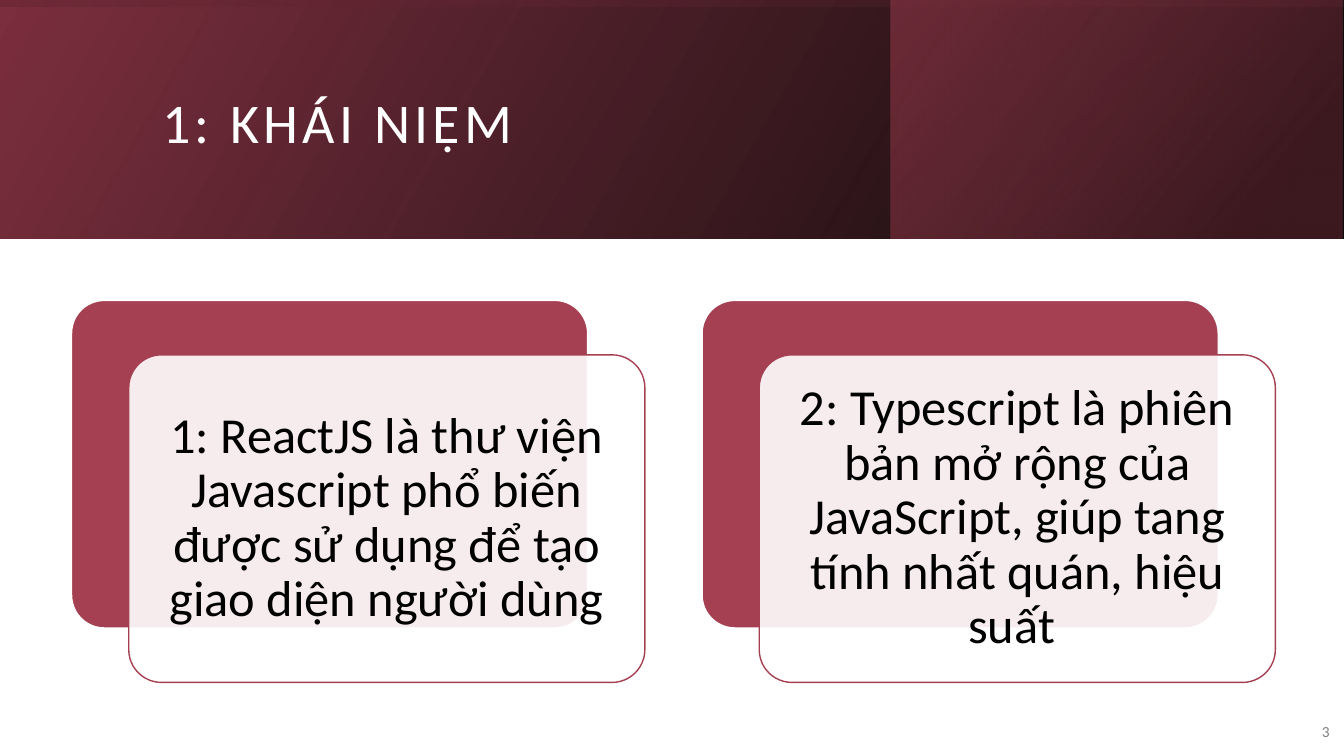
from dataclasses import dataclass

from lxml import etree
from pptx import Presentation
from pptx.dml.color import RGBColor
from pptx.enum.shapes import MSO_SHAPE
from pptx.enum.text import MSO_ANCHOR, PP_ALIGN
from pptx.oxml.ns import qn
from pptx.util import Inches, Pt

RECT, ROUND = MSO_SHAPE.RECTANGLE, MSO_SHAPE.ROUNDED_RECTANGLE
LEFT, CENTER, RIGHT = PP_ALIGN.LEFT, PP_ALIGN.CENTER, PP_ALIGN.RIGHT
MIDDLE = MSO_ANCHOR.MIDDLE

COLORS = {
    "white": "FFFFFF", "black": "000000", "gray": "808080",
    "rose": "A53F52", "wine": "7C2F3E", "dark_wine": "522029",
}
FONT = "Calibri"

# Grid: square cells, ten to the inch
CELL = Inches(0.1)
COLS, ROWS = 133.33, 75
HEADER_ROWS = 23.7
CARD_W, CARD_H = 51.2, 32.5
CARD_X, CARD_Y, CARD_STEP = 7.1, 29.8, 62.55
FRONT_DX, FRONT_DY = 5.67, 5.4
TEXT_PAD = 0.95


@dataclass(frozen=True)
class Box:
    x: float
    y: float
    w: float
    h: float

    def emu(self) -> list[int]:
        return [round(v * CELL) for v in (self.x, self.y, self.w, self.h)]

    def inset(self, d: float) -> "Box":
        return Box(self.x + d, self.y + d, self.w - 2 * d, self.h - 2 * d)

    def turned(self) -> "Box":
        """Frame that covers this box after a quarter turn."""
        d = (self.w - self.h) / 2
        return Box(self.x + d, self.y - d, self.h, self.w)


@dataclass(frozen=True)
class Stop:
    pos: int
    color: str
    alpha: int


@dataclass(frozen=True)
class Band:
    box: Box
    stops: tuple[Stop, Stop]
    angle: int
    rotation: int = 0


HEADER = Box(0, 0, COLS, HEADER_ROWS)
BANDS = [
    Band(HEADER, (Stop(0, "black", 96), Stop(100, "wine", 100)), 330),
    Band(Box(88.4, 0, 44.8, HEADER_ROWS),
         (Stop(19, "dark_wine", 68), Stop(100, "rose", 48)), 320),
    Band(HEADER.turned(), (Stop(23, "wine", 16), Stop(99, "black", 45)), 350, 270),
]
CARDS = [
    "1: ReactJS là thư viện Javascript phổ biến được sử dụng để tạo "
    "giao diện người dùng",
    "2: Typescript là phiên bản mở rộng của JavaScript, giúp tang "
    "tính nhất quán, hiệu suất ",
]


def rgb(name: str) -> RGBColor:
    return RGBColor.from_string(COLORS[name])


def add_alpha(color_el, percent: int) -> None:
    etree.SubElement(color_el, qn("a:alpha"), val=str(percent * 1000))


def add_band(slide, band: Band) -> None:
    sp = slide.shapes.add_shape(RECT, *band.box.emu())
    sp.shadow.inherit = False
    sp.line.fill.background()
    sp.rotation = band.rotation
    sp_pr = sp._element.spPr
    sp_pr.find(qn("a:xfrm")).set("flipH", "1")
    grad = etree.Element(qn("a:gradFill"), rotWithShape="1")
    stops = etree.SubElement(grad, qn("a:gsLst"))
    for stop in band.stops:
        gs = etree.SubElement(stops, qn("a:gs"), pos=str(stop.pos * 1000))
        color = etree.SubElement(gs, qn("a:srgbClr"), val=COLORS[stop.color])
        add_alpha(color, stop.alpha)
    etree.SubElement(grad, qn("a:lin"), ang=str(band.angle * 60000), scaled="0")
    sp_pr.find(qn("a:prstGeom")).addnext(grad)


def add_panel(slide, box: Box, fill: str, line: str, alpha: int = 100) -> None:
    sp = slide.shapes.add_shape(ROUND, *box.emu())
    sp.shadow.inherit = False
    sp.adjustments[0] = 0.1
    sp.fill.solid()
    sp.fill.fore_color.rgb = rgb(fill)
    if alpha < 100:
        add_alpha(sp._element.spPr.find(qn("a:solidFill"))[0], alpha)
    sp.line.color.rgb = rgb(line)
    sp.line.width = Pt(1)


def add_text(slide, box: Box, text: str, *, size: float, color: str,
             align=LEFT, spacing: float = 1.0, tracking: int = 0,
             margin: float | None = None) -> None:
    tf = slide.shapes.add_textbox(*box.emu()).text_frame
    tf.word_wrap = True
    tf.vertical_anchor = MIDDLE
    if margin is not None:
        tf.margin_left = tf.margin_right = Inches(margin)
        tf.margin_top = tf.margin_bottom = Inches(margin)
    p = tf.paragraphs[0]
    p.alignment = align
    p.line_spacing = spacing
    r = p.add_run()
    r.text = text
    r.font.name = FONT
    r.font.size = Pt(size)
    r.font.color.rgb = rgb(color)
    if tracking:
        r.font._element.set("spc", str(tracking * 100))


def add_card(slide, index: int, text: str) -> None:
    back = Box(CARD_X + index * CARD_STEP, CARD_Y, CARD_W, CARD_H)
    front = Box(back.x + FRONT_DX, back.y + FRONT_DY, CARD_W, CARD_H)
    add_panel(slide, back, "rose", "white")
    add_panel(slide, front, "white", "rose", alpha=90)
    add_text(slide, front.inset(TEXT_PAD), text, size=36, color="black",
             align=CENTER, spacing=0.9, margin=0.15)


def main() -> None:
    prs = Presentation()
    prs.slide_width, prs.slide_height = round(COLS * CELL), ROWS * CELL
    slide = prs.slides.add_slide(prs.slide_layouts[6])

    # Header
    for band in BANDS:
        add_band(slide, band)
    add_text(slide, Box(15.1, 3.8, 106.3, 17.2), "1: KHÁI NIỆM", size=40,
             color="white", spacing=0.9, tracking=3)

    # Slide number
    add_text(slide, Box(128, 70.6, 4.9, 4), "3", size=11, color="gray", align=RIGHT)

    # Cards
    for index, text in enumerate(CARDS):
        add_card(slide, index, text)

    prs.save("out.pptx")


if __name__ == "__main__":
    main()
